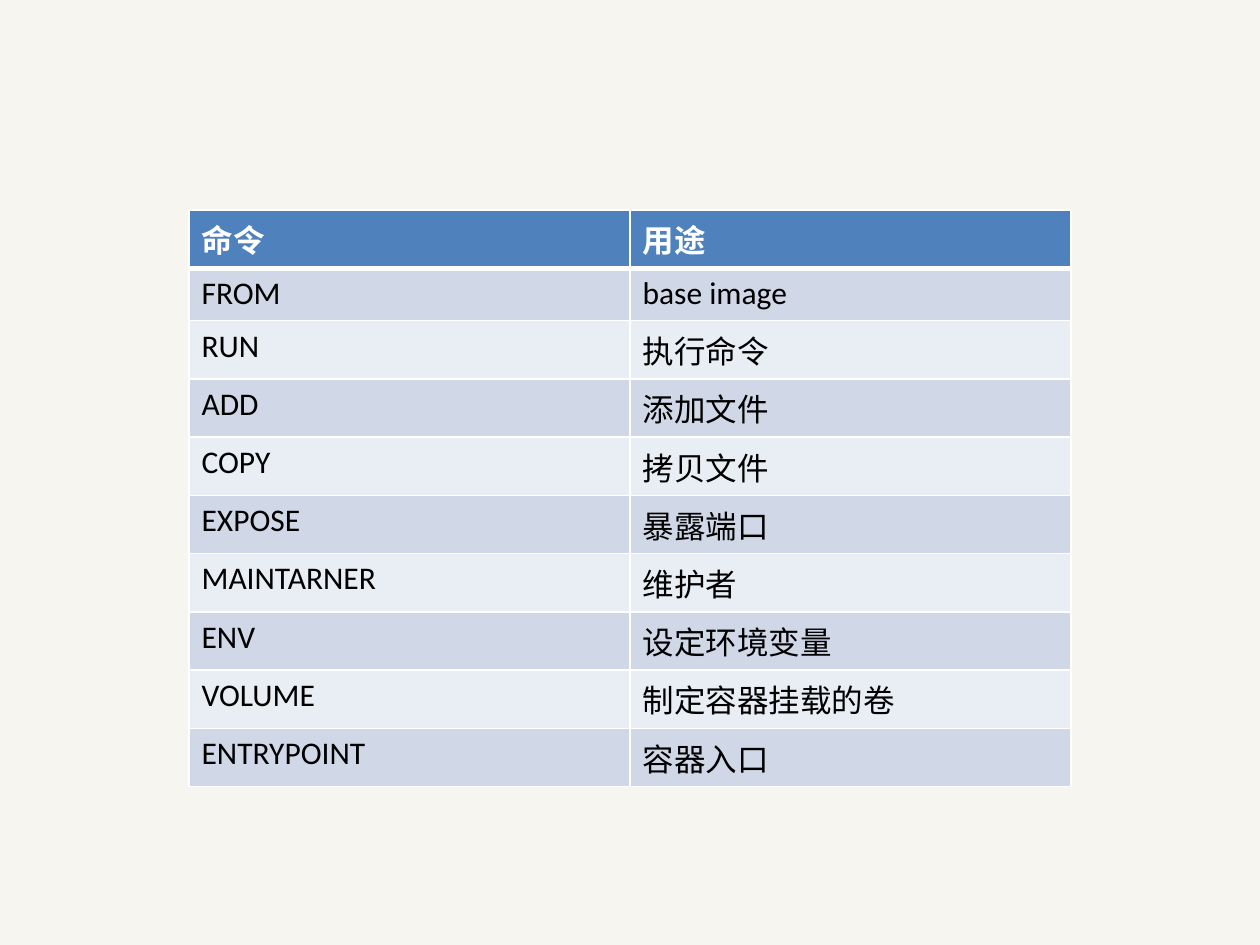
from dataclasses import dataclass

from lxml import etree
from pptx import Presentation
from pptx.dml.color import RGBColor
from pptx.oxml.ns import qn
from pptx.util import Emu, Pt

PX = 914400 / 126
BLANK_LAYOUT = 6


@dataclass(frozen=True)
class Theme:
    background: str = "F6F5F0"
    header: str = "4F81BD"
    bands: tuple = ("D0D8E8", "E9EDF4")
    border: str = "FFFFFF"
    header_text: str = "FFFFFF"
    body_text: str = "000000"
    font: str = "Calibri"
    size: int = 18
    thin: int = 1
    thick: int = 3


def px(length):
    return Emu(round(length * PX))


def write_text(frame, text, *, font, size, color, bold=False):
    span = frame.paragraphs[0].add_run()
    span.text = text
    span.font.name = font
    span.font.size = Pt(size)
    span.font.bold = bold
    span.font.color.rgb = RGBColor.from_string(color)


def draw_border(cell, side, width, color):
    properties = cell._tc.get_or_add_tcPr()
    line = etree.SubElement(properties, qn(f"a:ln{side}"), w=str(Pt(width)))
    fill = etree.SubElement(line, qn("a:solidFill"))
    etree.SubElement(fill, qn("a:srgbClr"), val=color)


class SlideBuilder:
    def __init__(self, page, theme):
        self.page = page
        self.theme = theme

    def background(self):
        fill = self.page.background.fill
        fill.solid()
        fill.fore_color.rgb = RGBColor.from_string(self.theme.background)

    def table(self, rows, left, top, width, height):
        frame = self.page.shapes.add_table(
            len(rows), len(rows[0]), px(left), px(top), px(width), px(height))
        for row_index, row in enumerate(rows):
            for column_index, text in enumerate(row):
                self.cell(frame.table.cell(row_index, column_index), text, row_index)

    def cell(self, cell, text, row_index):
        theme = self.theme
        is_header = row_index == 0
        # The heavy rule lies between the header and the first body row
        heavy_side = {0: "B", 1: "T"}.get(row_index)
        for side in "LRTB":
            width = theme.thick if side == heavy_side else theme.thin
            draw_border(cell, side, width, theme.border)

        band = theme.bands[(row_index - 1) % len(theme.bands)]
        cell.fill.solid()
        cell.fill.fore_color.rgb = RGBColor.from_string(
            theme.header if is_header else band)
        write_text(cell.text_frame, text, font=theme.font, size=theme.size,
                   color=theme.header_text if is_header else theme.body_text,
                   bold=is_header)


COMMANDS = [
    ("命令", "用途"),
    ("FROM", "base image"),
    ("RUN", "执行命令"),
    ("ADD", "添加文件"),
    ("COPY", "拷贝文件"),
    ("EXPOSE", "暴露端口"),
    ("MAINTARNER", "维护者"),
    ("ENV", "设定环境变量"),
    ("VOLUME", "制定容器挂载的卷"),
    ("ENTRYPOINT", "容器入口"),
]


def main():
    deck = Presentation()
    deck.slide_width, deck.slide_height = px(1260), px(945)
    page = deck.slides.add_slide(deck.slide_layouts[BLANK_LAYOUT])
    builder = SlideBuilder(page, Theme())

    # Backdrop
    builder.background()

    # Command reference table
    builder.table(COMMANDS, left=189, top=210, width=882, height=525)

    deck.save("out.pptx")


if __name__ == "__main__":
    main()
